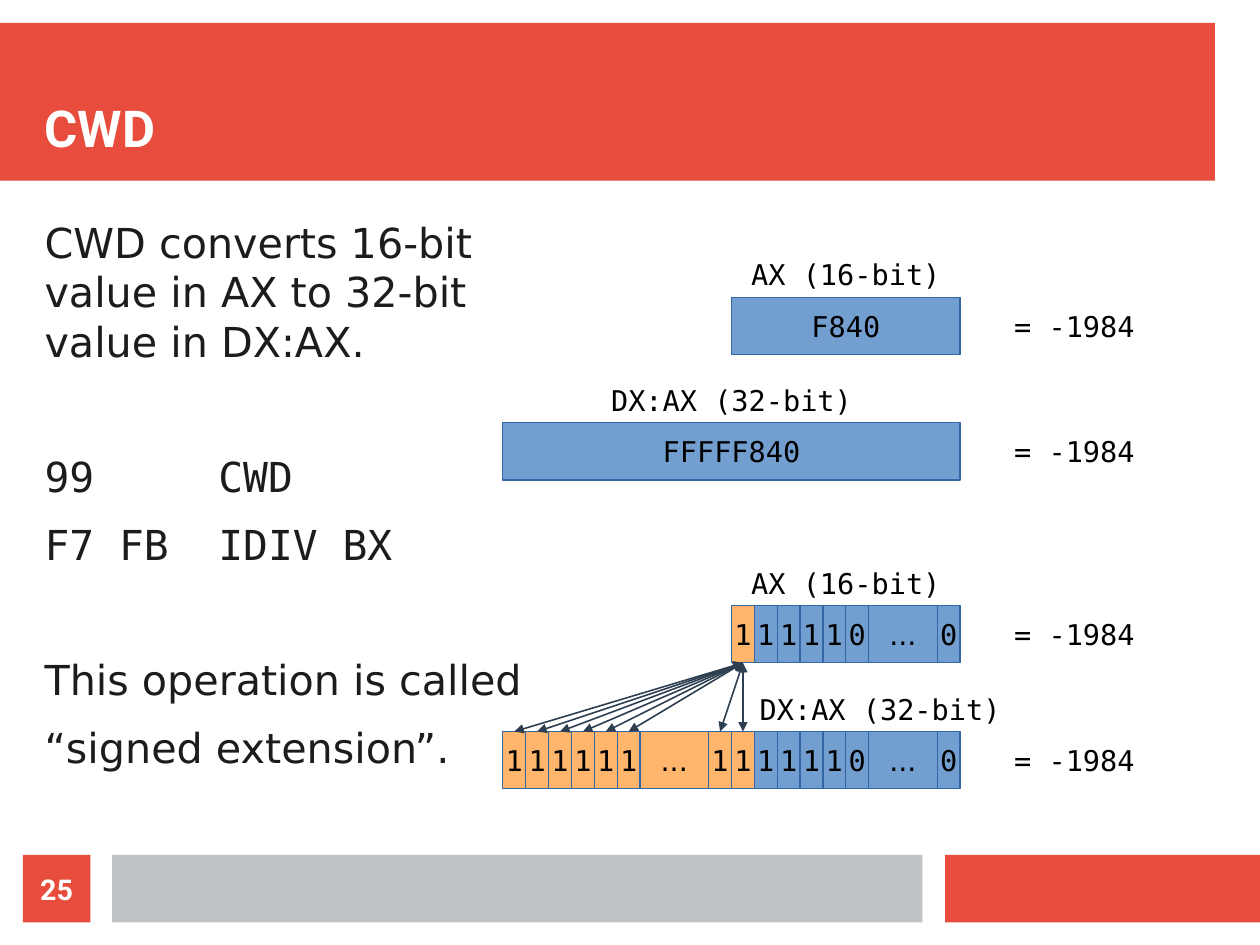
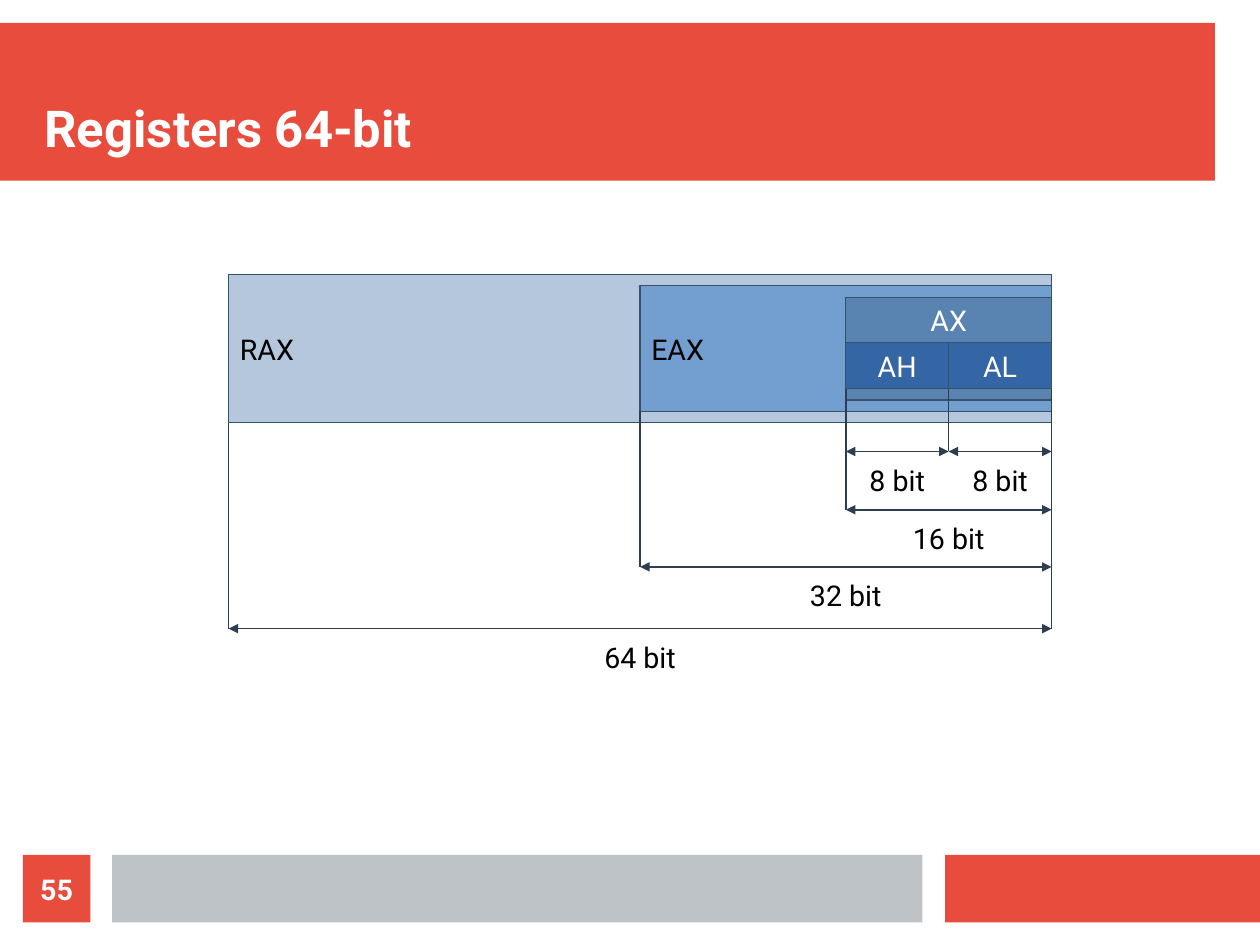
from lxml.etree import SubElement
from pptx import Presentation
from pptx.dml.color import RGBColor
from pptx.enum.shapes import MSO_CONNECTOR, MSO_SHAPE
from pptx.enum.text import MSO_ANCHOR, PP_ALIGN
from pptx.oxml.ns import qn
from pptx.util import Cm, Emu, Pt

RED, GREY, WHITE, BLACK, INK = "E74C3C", "BDC3C7", "FFFFFF", "000000", "1C1C1C"
BLUE, ORANGE, CELL_EDGE = "729FCF", "FFB66C", "3465A4"
REGISTER_EDGE, ARROW = "355269", "2C3E50"
SANS, MONO, ROBOTO = "DejaVu Sans", "DejaVu Sans Mono", "Roboto"
NO_INSETS = {f"margin_{side}": 0 for side in ("left", "top", "right", "bottom")}
LABEL_FRAME = {"word_wrap": False, "vertical_anchor": MSO_ANCHOR.MIDDLE}
TIGHT_FRAME = {**NO_INSETS, **LABEL_FRAME}
TITLE_FRAME = {**NO_INSETS, "word_wrap": True, "vertical_anchor": MSO_ANCHOR.BOTTOM}
SIGN_BITS = "1 1 1 1 1 1 ... 1".split()
VALUE_BITS = "1 1 1 1 0 ... 0".split()


def px(n):
    """Turn px, 100 to the inch, into EMU."""
    return Emu(n * 9144)


def rgb(color):
    """Turn a hex string into a colour."""
    return RGBColor.from_string(color)


def apply(obj, values):
    """Set each attribute named in a dict."""
    for name, value in values.items():
        setattr(obj, name, value)


def write(p, text, font, size=18, color=BLACK, bold=False):
    """Add one formatted run to a paragraph."""
    r = p.add_run()
    r.text = text
    apply(r.font, {"name": font, "size": Pt(size), "bold": bold})
    r.font.color.rgb = rgb(color)


def rect(slide, x, y, w, h, fill, edge=None):
    """Draw a filled rectangle, with a hairline edge if one is given."""
    sp = slide.shapes.add_shape(MSO_SHAPE.RECTANGLE, px(x), px(y), px(w), px(h))
    sp.shadow.inherit = False
    sp.fill.solid()
    sp.fill.fore_color.rgb = rgb(fill)
    if edge:
        sp.line.color.rgb = rgb(edge)
        sp.line.width = 0
    else:
        sp.line.fill.background()
    return sp


def label(sp, text, font=MONO, align=PP_ALIGN.CENTER, frame=LABEL_FRAME, **style):
    """Write one line of text in a shape."""
    apply(sp.text_frame, frame)
    p = sp.text_frame.paragraphs[0]
    p.alignment = align
    write(p, text, font, **style)


def caption(slide, x, y, w, h, text, font=MONO, **style):
    """Place a line of text without a box."""
    sp = slide.shapes.add_textbox(px(x), px(y), px(w), px(h))
    label(sp, text, font, **style)


def line(slide, x1, y1, x2, y2, arrows=False):
    """Draw a straight line, with arrowheads at both ends if asked."""
    c = slide.shapes.add_connector(
        MSO_CONNECTOR.STRAIGHT, px(x1), px(y1), px(x2), px(y2))
    c.line.color.rgb = rgb(ARROW)
    c.line.width = Pt(1)
    spPr = c.element.spPr
    if arrows:
        for end in ("a:headEnd", "a:tailEnd"):
            SubElement(spPr.find(qn("a:ln")), qn(end), type="triangle")
    SubElement(spPr, qn("a:effectLst"))
    return c


def base_slide(prs, title, number):
    """Add a slide with the shared bands, title and slide number."""
    slide = prs.slides.add_slide(prs.slide_layouts[6])
    rect(slide, 0, 20, 1063, 138, RED)
    rect(slide, 827, 748, 276, 59, RED)
    rect(slide, 98, 748, 709, 59, GREY)
    caption(slide, 39, 39, 1024, 99, title, ROBOTO, align=PP_ALIGN.LEFT,
            frame=TITLE_FRAME, size=32, color=WHITE, bold=True)
    label(rect(slide, 20, 748, 59, 59, RED), number, ROBOTO,
          frame=TIGHT_FRAME, color=WHITE, bold=True)
    return slide


def body_text(slide, x, y, w, h):
    """Write the explanation column with its two code lines."""
    tf = slide.shapes.add_textbox(px(x), px(y), px(w), px(h)).text_frame
    apply(tf, {**NO_INSETS, "word_wrap": True})
    lines = [
        ("CWD converts 16-bit value in AX to 32-bit value in DX:AX.", SANS, 54),
        ("99\tCWD", MONO, 11.4),
        ("F7 FB\tIDIV BX", MONO, 54),
        ("This operation is called", SANS, 11.4),
        ("“signed extension”.", SANS, 11.4),
    ]
    for i, (text, font, after) in enumerate(lines):
        p = tf.add_paragraph() if i else tf.paragraphs[0]
        p.space_after = Pt(after)
        write(p, text, font, size=26, color=INK)
        if "\t" in text:
            tabs = SubElement(p._p.get_or_add_pPr(), qn("a:tabLst"))
            SubElement(tabs, qn("a:tab"), pos=str(px(152)), algn="l")


def bit_cells(slide, x, y, bits, fill):
    """Draw a row of bit cells and return those that hold one bit."""
    cells = []
    for bit in bits:
        gap = bit == "..."
        w = 60 if gap else 20
        sp = rect(slide, x, y, w, 50, fill, CELL_EDGE)
        label(sp, bit, SANS if gap else MONO)
        if not gap:
            cells.append(sp)
        x += w
    return cells


def hex_registers(slide, x, y):
    """Draw the 16-bit and 32-bit registers with their hex values."""
    rows = [(200, 0, 200, "AX (16-bit)", "F840"),
            (0, 110, 400, "DX:AX (32-bit)", "FFFFF840")]
    for dx, dy, w, name, value in rows:
        caption(slide, x + dx, y + dy, w, 40, name)
        label(rect(slide, x + dx, y + dy + 40, w, 50, BLUE, CELL_EDGE), value)
        caption(slide, x + 400, y + dy + 40, 200, 50, "= -1984")


def bit_registers(slide, x, y):
    """Draw both registers bit by bit, with the sign bit copied upwards."""
    caption(slide, x + 200, y, 200, 40, "AX (16-bit)")
    caption(slide, x + 220, y + 110, 220, 40, "DX:AX (32-bit)", frame=TIGHT_FRAME)
    for top in (y + 40, y + 150):
        bit_cells(slide, x + 220, top, VALUE_BITS, BLUE)
        caption(slide, x + 400, top, 200, 50, "= -1984")
    sign, = bit_cells(slide, x + 200, y + 40, ["1"], ORANGE)
    for cell in bit_cells(slide, x, y + 150, SIGN_BITS + ["1"], ORANGE):
        c = line(slide, x, y + 150, x + 210, y + 90, arrows=True)
        c.begin_connect(cell, 0)
        c.end_connect(sign, 2)


def nested_registers(slide, x, y, w, h):
    """Draw the registers, each half as wide as the one around it."""
    right, half, quarter, eighth = x + w, w // 2, w // 4, w // 8
    boxes = [
        ("RAX", x, 0, w, h, "B4C7DC", BLACK),
        ("EAX", right - half, 10, half, h - 20, BLUE, BLACK),
        ("AX", right - quarter, 20, quarter, h - 40, "5983B0", WHITE),
        ("AL", right - eighth, 60, eighth, 40, "3465A4", WHITE),
        ("AH", right - quarter, 60, eighth, 40, "3465A4", WHITE),
    ]
    for name, left, dy, width, height, fill, color in boxes:
        sp = rect(slide, left, y + dy, width, height, fill, REGISTER_EDGE)
        align = PP_ALIGN.LEFT if color == BLACK else PP_ALIGN.CENTER
        label(sp, name, ROBOTO, align, color=color)
        if name == "AX":
            sp.text_frame.vertical_anchor = MSO_ANCHOR.TOP


def bit_widths(slide, x, y, w):
    """Draw the dimension lines that hang below the registers."""
    right, eighth = x + w, w // 8
    line(slide, right, y, right, y + 210)
    line(slide, right - eighth, y, right - eighth, y + 55)
    levels = [(16, w // 4, 0, 106), (32, w // 2, 20, 156), (64, w, 30, 210)]
    spans = [(8, right - eighth * n, eighth, y + 55) for n in (1, 2)]
    for bits, width, start, end in levels:
        left = right - width
        line(slide, left, y + start, left, y + end)
        spans.append((bits, left, width, y + end))
    for bits, left, width, top in spans:
        line(slide, left, top, left + width, top, arrows=True)
        caption(slide, left, top + 10, width, 30, f"{bits} bit", ROBOTO)


def main():
    """Build both slides and save the file."""
    prs = Presentation()
    apply(prs, {"slide_width": Cm(28), "slide_height": Cm(21)})

    slide = base_slide(prs, "CWD", "25")
    hex_registers(slide, 440, 220)
    bit_registers(slide, 440, 490)
    body_text(slide, 39, 190, 461, 550)

    slide = base_slide(prs, "Registers 64-bit", "55")
    nested_registers(slide, 200, 240, 720, 130)
    bit_widths(slide, 200, 340, 720)

    prs.save("out.pptx")


if __name__ == "__main__":
    main()
